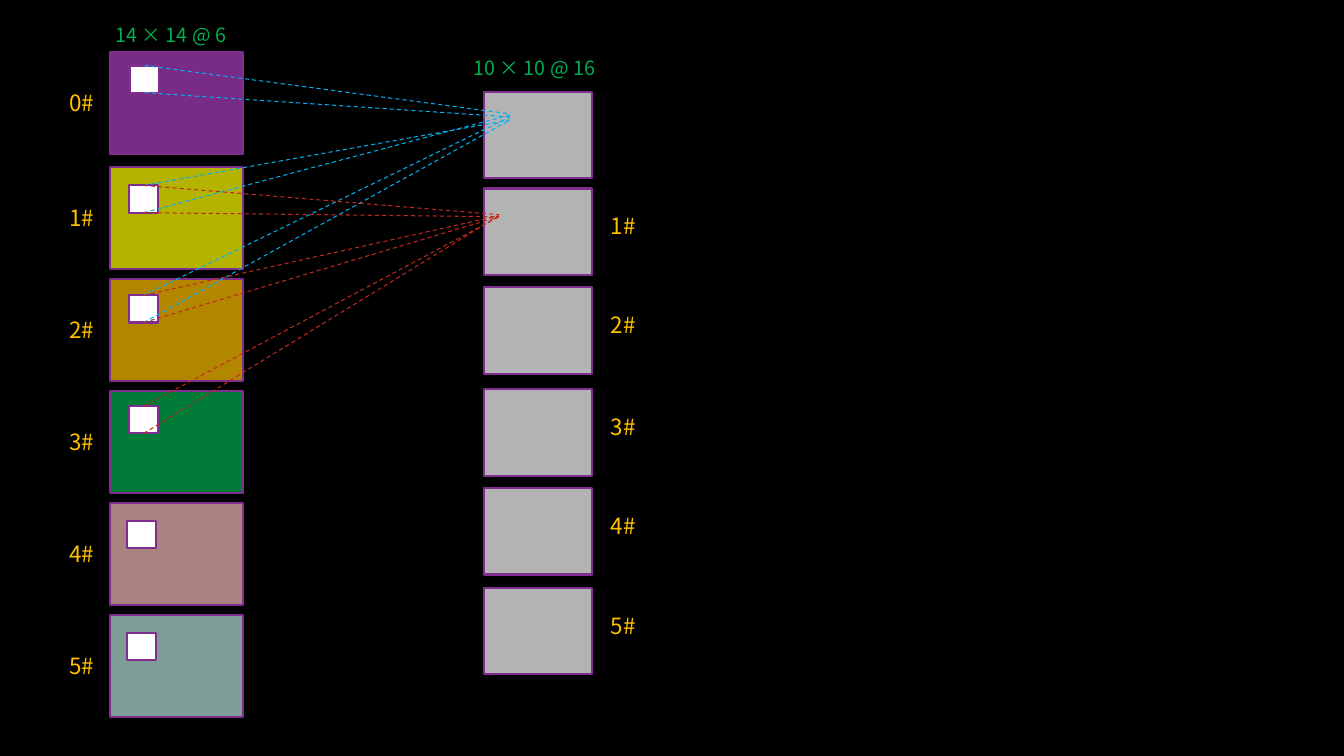
from dataclasses import dataclass

from lxml import etree
from pptx import Presentation
from pptx import util as u
from pptx.dml.color import RGBColor
from pptx.enum import dml, shapes, text
from pptx.oxml import ns


@dataclass(frozen=True)
class Theme:
    font: str = "Noto Sans CJK SC"
    background: str = "000000"
    heading: str = "00B050"
    index: str = "FFC000"
    outline: str = "7F2E8F"
    white: str = "FFFFFF"
    blue: str = "00B0F0"
    red: str = "C02A1E"
    inputs: tuple = ("AC3EC1", "FFFF00", "FFC000", "00B050", "F3BAB5", "B4E1D6")
    heading_size: int = 14
    index_size: int = 16
    panel_opacity: int = 70


THEME = Theme()


def rgb(value):
    return RGBColor.from_string(value)


def add_label(slide, box, words, size=THEME.index_size, color=THEME.index, wrap=True):
    label = slide.shapes.add_textbox(*map(u.Inches, box))
    frame = label.text_frame
    frame.word_wrap = wrap
    frame.auto_size = text.MSO_AUTO_SIZE.SHAPE_TO_FIT_TEXT
    run = frame.paragraphs[0].add_run()
    run.text = words
    run.font.name, run.font.size = THEME.font, u.Pt(size)
    run.font.color.rgb = rgb(color)
    # East Asian typeface
    etree.SubElement(run.font._element, ns.qn("a:ea")).set("typeface", THEME.font)


def add_panel(slide, box, color, opacity=100):
    panel = slide.shapes.add_shape(shapes.MSO_SHAPE.RECTANGLE, *map(u.Inches, box))
    panel.shadow.inherit = False
    panel.fill.solid()
    panel.fill.fore_color.rgb = rgb(color)
    panel.line.color.rgb = rgb(THEME.outline)
    panel.line.width = u.Pt(1.5)
    if opacity < 100:
        fill_color = panel.fill._xPr.find(ns.qn("a:solidFill"))[0]
        etree.SubElement(fill_color, ns.qn("a:alpha")).set("val", str(opacity * 1000))
    return panel


def add_ray(slide, window, side, target, color):
    end_x, end_y = map(u.Inches, target)
    ray = slide.shapes.add_connector(
        shapes.MSO_CONNECTOR.STRAIGHT, window.left, window.top, end_x, end_y)
    ray.begin_connect(window, side)
    ray.line.color.rgb = rgb(color)
    ray.line.width = u.Pt(0.75)
    ray.line.dash_style = dml.MSO_LINE.DASH
    etree.SubElement(ray._element.spPr, ns.qn("a:effectLst"))


def input_maps(slide, left, top, width, height):
    """Six coloured maps, each with its window; returns the windows."""
    add_label(slide, (left - 0.04, top - 0.34, 1.36, 0.34), "14 × 14 @ 6",
              size=THEME.heading_size, color=THEME.heading, wrap=False)
    # The first gap is slightly wider than the others
    tops = [top] + [top + 1.14 + 1.11 * i for i in range(5)]
    for index, (map_top, color) in enumerate(zip(tops, THEME.inputs)):
        add_panel(slide, (left, map_top, width, height), color, THEME.panel_opacity)
        add_label(slide, (left - 0.5, map_top + 0.32, 0.49, 0.37), f"{index}#")
    # Window offsets inside each map
    offsets = [(0.2, 0.13), (0.19, 0.18), (0.19, 0.16),
               (0.19, 0.15), (0.17, 0.18), (0.17, 0.18)]
    return [add_panel(slide, (left + dx, map_top + dy, 0.29, 0.27), THEME.white)
            for map_top, (dx, dy) in zip(tops, offsets)]


def output_maps(slide, left, top, width, height):
    """Six grey maps; the first carries no index."""
    add_label(slide, (left - 0.2, top - 0.4, 1.48, 0.34), "10 × 10 @ 16",
              size=THEME.heading_size, color=THEME.heading, wrap=False)
    for index, offset in enumerate((0, 0.96, 1.94, 2.95, 3.93, 4.92)):
        map_top = top + offset
        add_panel(slide, (left, map_top, width, height), THEME.white, THEME.panel_opacity)
        if index:
            add_label(slide, (left + 1.16, map_top + 0.19, 0.49, 0.37), f"{index}#")


def convolution(slide, windows, x, end_heights, color):
    """Rays from the top and bottom of each window to one output map."""
    for window, heights in zip(windows, end_heights):
        for side, y in zip((0, 2), heights):
            add_ray(slide, window, side, (x, y), color)


def feature_map_slide(prs):
    slide = prs.slides.add_slide(prs.slide_layouts[6])
    slide.background.fill.solid()
    slide.background.fill.fore_color.rgb = rgb(THEME.background)

    # Feature maps
    windows = input_maps(slide, 1.09, 0.52, 1.32, 1.01)
    output_maps(slide, 4.8, 0.91, 1.07, 0.86)

    # Each output map reads three neighbouring inputs
    convolution(slide, windows[0:3], 5.06,
                ((1.13, 1.16), (1.19, 1.14), (1.16, 1.19)), THEME.blue)
    convolution(slide, windows[1:4], 4.95,
                ((2.13, 2.15), (2.14, 2.15), (2.15, 2.14)), THEME.red)


def main():
    prs = Presentation()
    prs.slide_width, prs.slide_height = u.Inches(13.33), u.Inches(7.5)
    feature_map_slide(prs)
    prs.save("out.pptx")


if __name__ == "__main__":
    main()
